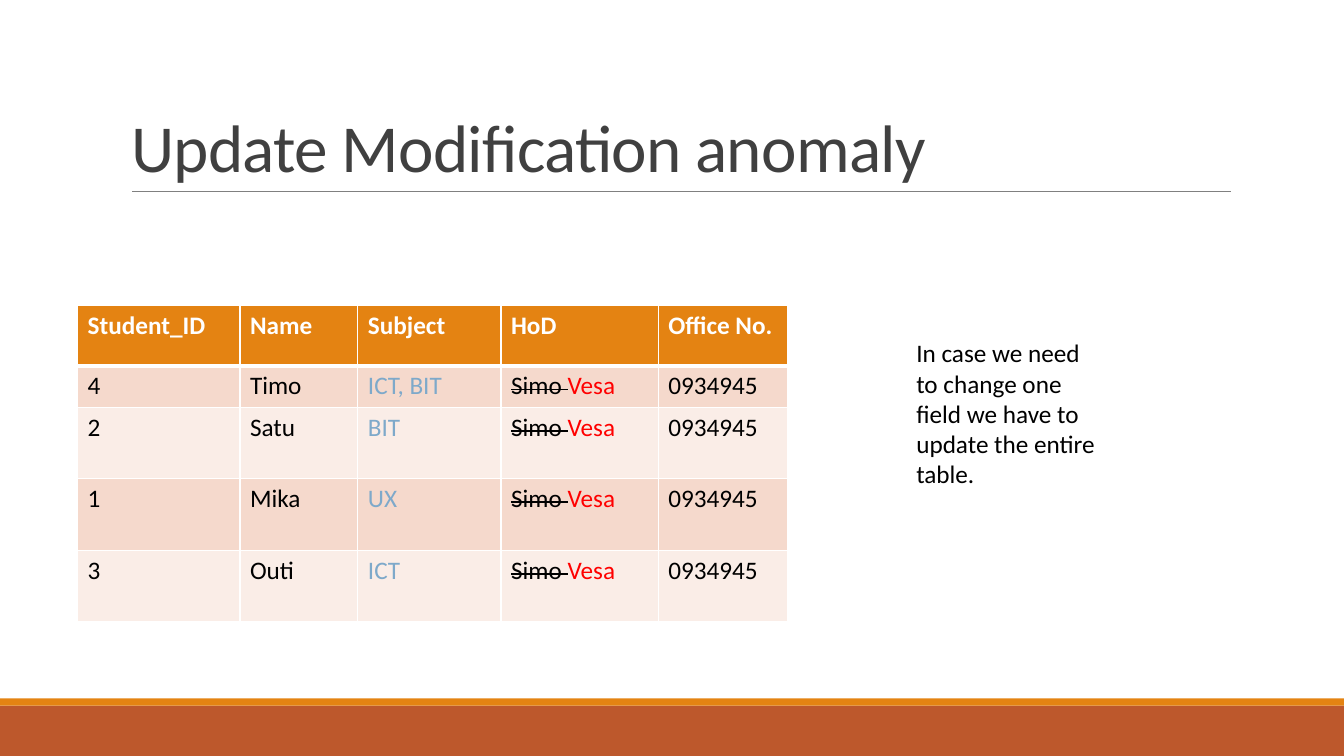
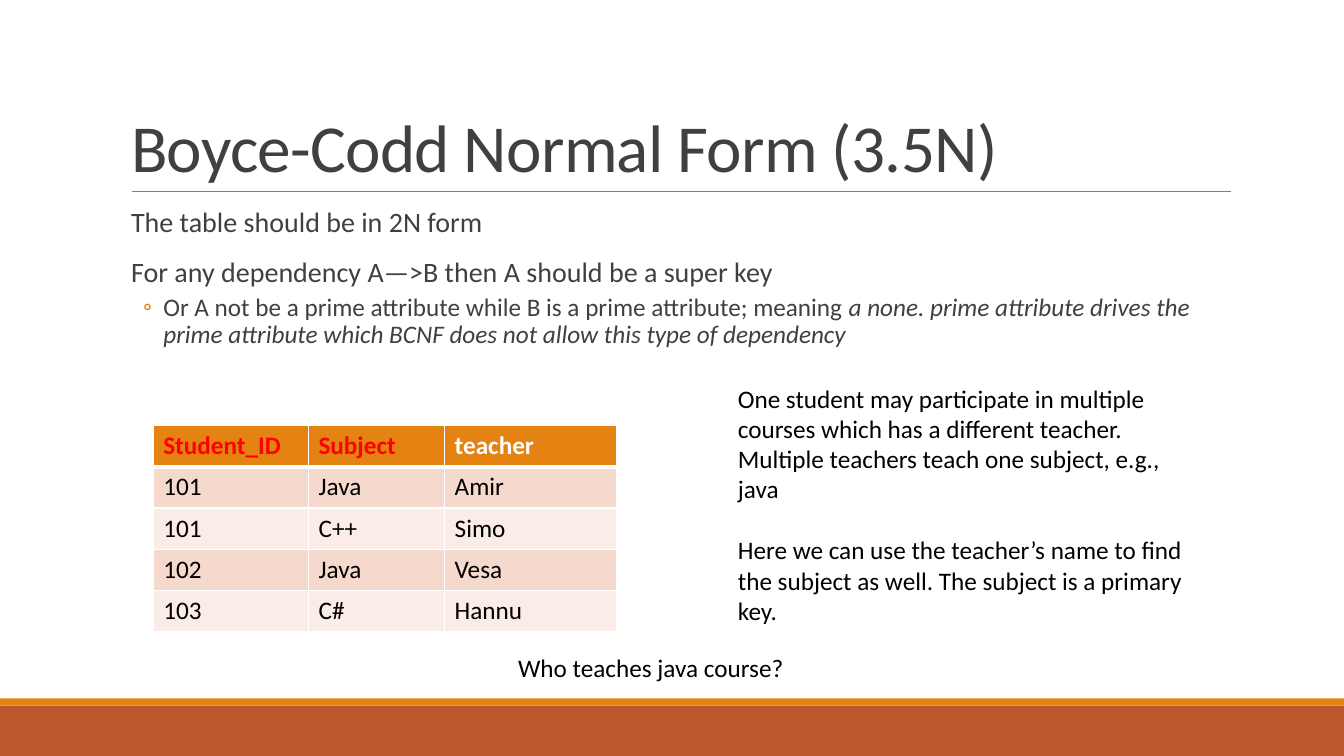
"""Builds two slides on database anomalies and Boyce-Codd normal form."""
import pptx
import pptx.util
import pptx.dml.color
import pptx.enum.shapes
import pptx.enum.text
import pptx.oxml.ns
import lxml.etree

Inches, Pt = pptx.util.Inches, pptx.util.Pt
qn = pptx.oxml.ns.qn

FONT = "Calibri"
ORANGE, RUST, GREY = "E48312", "BD582C", "404040"
WHITE, BLACK, RED, BLUE = "FFFFFF", "000000", "FF0000", "7EA9CA"
BANDS = ("F5D9CC", "FAEDE7")

HOD = [("Simo ", {"strike": True}), ("Vesa", {"color": RED})]
OFFICE = "0934945"


def blue(text):
    """Return a blue run list."""
    return [(text, {"color": BLUE})]


def red(text):
    """Return a red run list."""
    return [(text, {"color": RED})]


SLIDES = [
    {
        "title": "Update Modification anomaly",
        "body": [],
        "table": {
            "at": (0.77, 3.03),
            "cols": (1.61, 1.17, 1.42, 1.56, 1.28),
            "row_heights": (0.6, 0.41, 0.71, 0.71, 0.71),
            "cells": [
                ["Student_ID", "Name", "Subject", "HoD", "Office No."],
                ["4", "Timo", blue("ICT, BIT"), HOD, OFFICE],
                ["2", "Satu", blue("BIT"), HOD, OFFICE],
                ["1", "Mika", blue("UX"), HOD, OFFICE],
                ["3", "Outi", blue("ICT"), HOD, OFFICE],
            ],
        },
        "notes": [
            ((8.99, 3.3, 2.06, 1.92),
             ["In case we need to change one field we have to update the entire table."]),
        ],
    },
    {
        "title": "Boyce-Codd Normal Form (3.5N)",
        "body": [
            (0, "The table should be in 2N form"),
            (0, "For any dependency A—>B then A should be a super key"),
            (1, [("Or A not be a prime attribute while B is a prime attribute; meaning ", {}),
                 ("a none. prime attribute drives the prime attribute which BCNF "
                  "does not allow this type of dependency", {"italic": True})]),
        ],
        "table": {
            "at": (1.52, 4.22),
            "cols": (1.54, 1.35, 1.71),
            "row_heights": (0.41,) * 5,
            "cells": [
                [red("Student_ID"), red("Subject"), "teacher"],
                ["101", "Java", "Amir"],
                ["101", "C++", "Simo"],
                ["102", "Java", "Vesa"],
                ["103", "C#", "Hannu"],
            ],
        },
        "notes": [
            ((7.22, 3.75, 4.69, 2.52),
             ["One student may participate in multiple courses which has a different teacher. "
              "Multiple teachers teach one subject, e.g., java",
              "Here we can use the teacher’s name to find the subject as well. "
              "The subject is a primary key."]),
            ((5.04, 6.42, 5.05, 0.4), ["Who teaches java course?"]),
        ],
    },
]


def rgb(color):
    """Turn a hex string into a colour."""
    return pptx.dml.color.RGBColor.from_string(color)


def box(*lengths):
    """Turn numbers into inches."""
    return [Inches(n) for n in lengths]


def move(sp, at):
    """Place a shape at left, top, width, height."""
    sp.left, sp.top, sp.width, sp.height = box(*at)


def write(p, content, size=18, color=BLACK, bold=False):
    """Fill a paragraph from a string or a list of styled runs."""
    runs = [(content, {})] if isinstance(content, str) else content
    for text, style in runs:
        r = p.add_run()
        r.text = text
        r.font.name, r.font.size, r.font.bold = FONT, Pt(size), bold
        r.font.italic = style.get("italic", False)
        r.font.color.rgb = rgb(style.get("color", color))
        if style.get("strike"):
            r._r.get_or_add_rPr().set("strike", "sngStrike")


def add_frame(s):
    """Draw the bottom bands and the rule under the title."""
    for top, height, color in ((7, 0.5, RUST), (6.93, 0.07, ORANGE)):
        sp = s.shapes.add_shape(pptx.enum.shapes.MSO_SHAPE.RECTANGLE,
                                *box(0, top, 13.33, height))
        sp.shadow.inherit = False
        sp.fill.solid()
        sp.fill.fore_color.rgb = rgb(color)
        sp.line.fill.background()
    rule = s.shapes.add_connector(pptx.enum.shapes.MSO_CONNECTOR.STRAIGHT,
                                  *box(1.31, 1.9, 12.21, 1.9))
    rule.line.color.rgb = rgb("808080")
    rule.line.width = Pt(0.5)
    lxml.etree.SubElement(rule.element.spPr, qn("a:effectLst"))


def set_title(s, text):
    """Place and format the title."""
    sp = s.shapes.title
    move(sp, (1.2, 0.31, 11, 1.59))
    tf = sp.text_frame
    tf.auto_size = pptx.enum.text.MSO_AUTO_SIZE.NONE
    tf.vertical_anchor = pptx.enum.text.MSO_ANCHOR.BOTTOM
    p = tf.paragraphs[0]
    p.alignment = pptx.enum.text.PP_ALIGN.LEFT
    p.line_spacing = 0.85
    write(p, text, 48, GREY)
    p.runs[0]._r.get_or_add_rPr().set("spc", "-50")


def set_bullet(p, left, hang, char=None):
    """Set the indent and bullet of a paragraph."""
    pPr = p._p.get_or_add_pPr()
    pPr.set("marL", str(Inches(left)))
    pPr.set("indent", str(Inches(-hang)))
    if char is None:
        lxml.etree.SubElement(pPr, qn("a:buNone"))
        return
    color = lxml.etree.SubElement(pPr, qn("a:buClr"))
    lxml.etree.SubElement(color, qn("a:srgbClr"), val=ORANGE)
    lxml.etree.SubElement(pPr, qn("a:buFont"), typeface=FONT)
    lxml.etree.SubElement(pPr, qn("a:buChar"), char=char)


def set_body(s, items):
    """Place and format the body list."""
    sp = s.placeholders[1]
    move(sp, (1.2, 2.02, 11, 4.4))
    tf = sp.text_frame
    tf.auto_size = pptx.enum.text.MSO_AUTO_SIZE.NONE
    tf.margin_left = tf.margin_right = 0
    for i, (level, content) in enumerate(items):
        p = tf.add_paragraph() if i else tf.paragraphs[0]
        p.level = level
        p.line_spacing = 0.9
        p.space_before, p.space_after = (Pt(2), Pt(4)) if level else (Pt(12), Pt(2))
        set_bullet(p, *((0.42, 0.2, "◦") if level else (0.1, 0)))
        write(p, content, 18 if level else 20, GREY)


def set_borders(cell, top, bottom):
    """Give a cell white borders."""
    tcPr = cell._tc.get_or_add_tcPr()
    for side, width in (("L", 1), ("R", 1), ("T", top), ("B", bottom)):
        ln = lxml.etree.SubElement(tcPr, qn("a:ln" + side), w=str(Pt(width)))
        fill = lxml.etree.SubElement(ln, qn("a:solidFill"))
        lxml.etree.SubElement(fill, qn("a:srgbClr"), val=WHITE)


def add_grid(s, at, cols, row_heights, cells):
    """Add a table with a header row and banded rows."""
    frame = s.shapes.add_table(len(row_heights), len(cols),
                               *box(*at, sum(cols), sum(row_heights)))
    table = frame.table
    for col, width in zip(table.columns, cols):
        col.width = Inches(width)
    for i, (row, height) in enumerate(zip(table.rows, row_heights)):
        row.height = Inches(height)
        header = i == 0
        for cell, content in zip(row.cells, cells[i]):
            set_borders(cell, 3 if i == 1 else 1, 3 if header else 1)
            cell.fill.solid()
            cell.fill.fore_color.rgb = rgb(ORANGE if header else BANDS[(i - 1) % 2])
            write(cell.text_frame.paragraphs[0], content,
                  color=WHITE if header else BLACK, bold=header)


def add_note(s, at, paragraphs):
    """Add a wrapped text box."""
    tf = s.shapes.add_textbox(*box(*at)).text_frame
    tf.word_wrap = True
    for i, text in enumerate(paragraphs):
        p = tf.add_paragraph() if i else tf.paragraphs[0]
        if i:
            p.space_before = Pt(22)
        write(p, text)


def main():
    """Build and save the slides."""
    prs = pptx.Presentation()
    prs.slide_width, prs.slide_height = box(13.33, 7.5)
    for content in SLIDES:
        s = prs.slides.add_slide(prs.slide_layouts[1 if content["body"] else 5])
        add_frame(s)
        set_title(s, content["title"])
        if content["body"]:
            set_body(s, content["body"])
        add_grid(s, **content["table"])
        for at, paragraphs in content["notes"]:
            add_note(s, at, paragraphs)
    prs.save("out.pptx")


if __name__ == "__main__":
    main()
